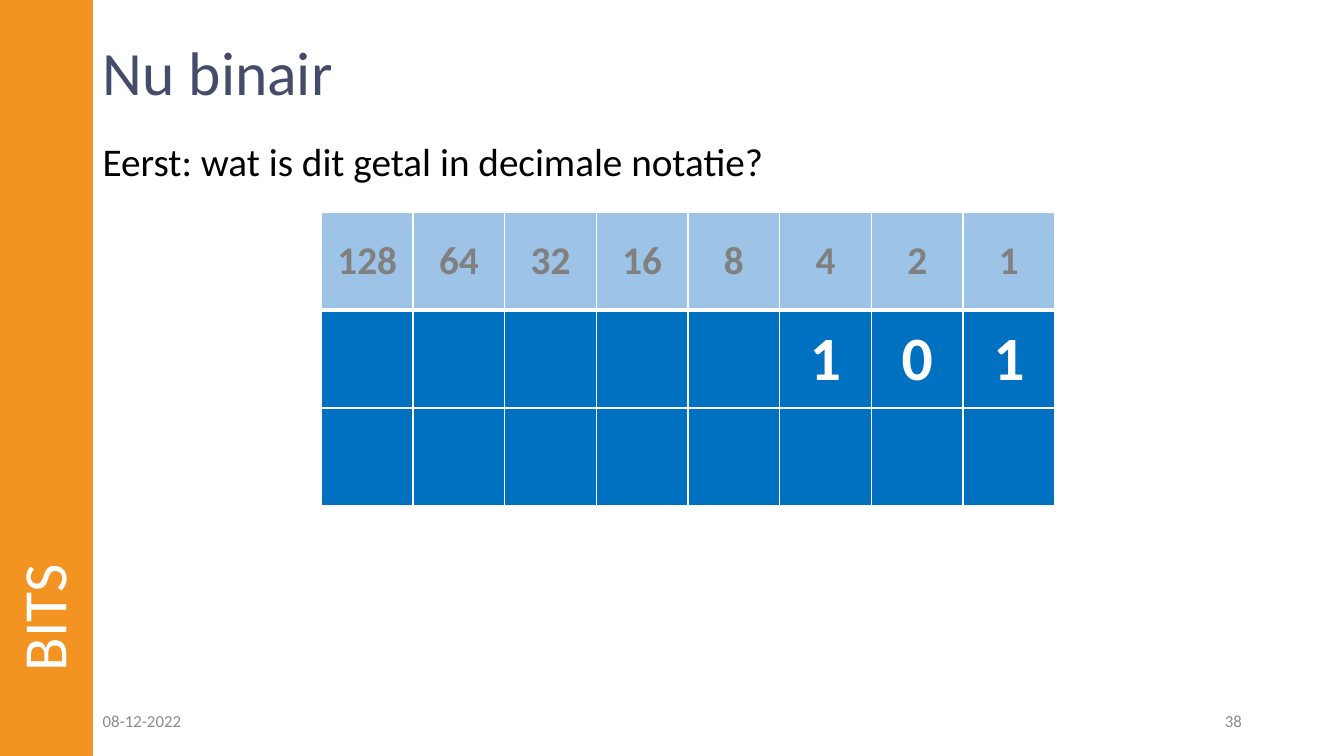
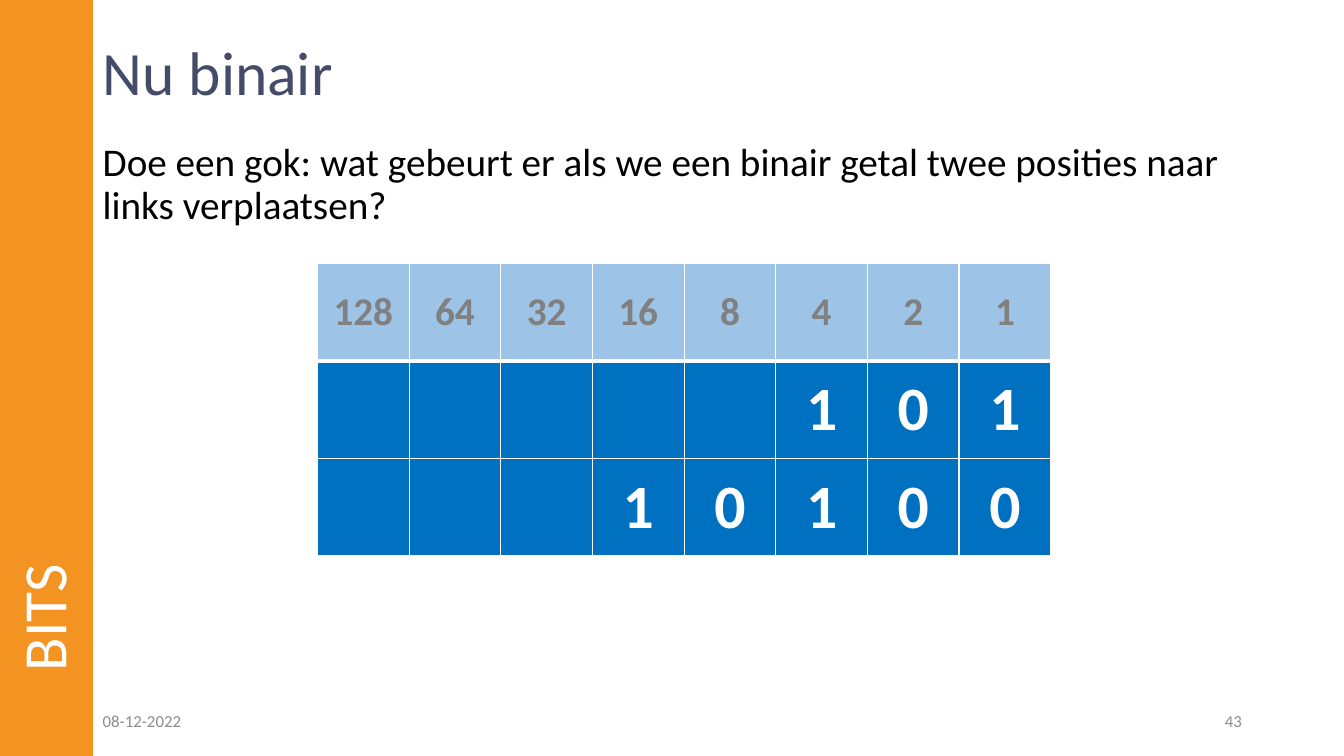
"""Builds two slides about shifting binary numbers."""
from dataclasses import dataclass

from lxml import etree
from pptx import Presentation
from pptx import util as u
from pptx.dml.color import RGBColor
from pptx.enum import shapes, text
from pptx.oxml import ns


@dataclass(frozen=True)
class Theme:
    """Colours, font and type sizes."""
    font: str = "Calibri"
    band: str = "F39322"
    title: str = "454C69"
    body: str = "000000"
    footer: str = "8C8C8C"
    white: str = "FFFFFF"
    weight_fill: str = "9DC3E6"
    weight_text: str = "808080"
    bit_fill: str = "0070C0"
    large: int = 44
    medium: int = 28
    small: int = 12


class Deck:
    """Holds the style and the current slide."""
    EDGE, WIDTH, HEIGHT = 2.34, 33.87, 19.05
    COLUMN, ROW, BITS = 2.31, 2.46, 8

    def __init__(self, theme):
        """Starts an empty wide presentation."""
        self.theme = theme
        self.deck = Presentation()
        self.deck.slide_width = u.Cm(self.WIDTH)
        self.deck.slide_height = u.Cm(self.HEIGHT)
        self.slide = None

    def add_words(self, paragraph, words, size, colour, bold=False):
        """Adds one styled run to a paragraph."""
        run = paragraph.add_run()
        run.text = words
        run.font.name = self.theme.font
        run.font.size = u.Pt(size)
        run.font.bold = bold
        run.font.color.rgb = RGBColor.from_string(colour)

    def label(self, words, place, size, colour, middle=True, spacing=None,
              align=text.PP_ALIGN.LEFT):
        """Adds a wrapped text box."""
        box = self.slide.shapes.add_textbox(*map(u.Cm, place))
        frame = box.text_frame
        frame.word_wrap = True
        frame.vertical_anchor = text.MSO_ANCHOR.MIDDLE if middle else text.MSO_ANCHOR.TOP
        paragraph = frame.paragraphs[0]
        paragraph.alignment = align
        paragraph.line_spacing = spacing
        self.add_words(paragraph, words, size, colour)
        return box

    def band(self, chapter):
        """Adds the side band with the chapter name reading upwards."""
        strip = self.slide.shapes.add_shape(
            shapes.MSO_SHAPE.RECTANGLE, 0, 0, u.Cm(self.EDGE), u.Cm(self.HEIGHT))
        strip.shadow.inherit = False
        strip.fill.solid()
        strip.fill.fore_color.rgb = RGBColor.from_string(self.theme.band)
        strip.line.fill.background()
        length = 17.17
        offset = (length - self.EDGE) / 2
        name = self.label(chapter, (-offset, offset, length, self.EDGE),
                          self.theme.large, self.theme.white, spacing=0.9)
        name.rotation = 270

    def footer(self, date, number):
        """Adds the date and the slide number."""
        style = self.theme.small, self.theme.footer
        self.label(date, (self.EDGE, 17.65, 7.62, 1.02), *style)
        self.label(number, (23.93, 17.65, 7.62, 1.02), *style,
                   align=text.PP_ALIGN.RIGHT)

    def page(self, title, question, number):
        """Starts a slide with everything the slides share."""
        self.slide = self.deck.slides.add_slide(self.deck.slide_layouts[6])
        self.band("BITS")
        self.label(title, (self.EDGE, 0.81, 29.21, 2.18),
                   self.theme.large, self.theme.title, spacing=0.9)
        self.label(question, (self.EDGE, 3.48, 29.21, 13.69),
                   self.theme.medium, self.theme.body, middle=False, spacing=0.9)
        self.footer("08-12-2022", number)

    def border(self, cell, side, points):
        """Draws one white cell border."""
        line = etree.SubElement(cell._tc.get_or_add_tcPr(), ns.qn(f"a:ln{side}"),
                                w=str(u.Pt(points)))
        fill = etree.SubElement(line, ns.qn("a:solidFill"))
        etree.SubElement(fill, ns.qn("a:srgbClr"), val=self.theme.white)

    def cell(self, cell, words, row):
        """Styles and fills one table cell."""
        theme = self.theme
        heading = row == 0
        for side in "LRTB":
            thick = (row, side) in ((0, "B"), (1, "T"))
            self.border(cell, side, 3 if thick else 1)
        cell.fill.solid()
        cell.fill.fore_color.rgb = RGBColor.from_string(
            theme.weight_fill if heading else theme.bit_fill)
        cell.vertical_anchor = text.MSO_ANCHOR.MIDDLE
        if words:
            paragraph = cell.text_frame.paragraphs[0]
            paragraph.alignment = text.PP_ALIGN.CENTER
            size, colour = ((theme.medium, theme.weight_text) if heading
                            else (theme.large, theme.white))
            self.add_words(paragraph, words, size, colour, bold=True)

    def bit_table(self, left, top, *numbers):
        """Adds place values above right-aligned binary numbers."""
        weights = [str(2 ** power) for power in reversed(range(self.BITS))]
        rows = [weights] + [[""] * (self.BITS - len(bits)) + list(bits)
                            for bits in numbers]
        grid = self.slide.shapes.add_table(
            len(rows), self.BITS, u.Cm(left), u.Cm(top),
            u.Cm(self.COLUMN * self.BITS), u.Cm(self.ROW * len(rows))).table
        grid.horz_banding = False
        for column in grid.columns:
            column.width = u.Cm(self.COLUMN)
        for row, values in enumerate(rows):
            grid.rows[row].height = u.Cm(self.ROW)
            for column, words in enumerate(values):
                self.cell(grid.cell(row, column), words, row)


def main():
    """Builds and saves both slides."""
    lesson = Deck(Theme())
    title = "Nu binair"
    start = "101"

    lesson.page(title, "Eerst: wat is dit getal in decimale notatie?", "38")
    lesson.bit_table(8.1, 5.36, start, "")

    lesson.page(title, "Doe een gok: wat gebeurt er als we een binair getal "
                "twee posities naar links verplaatsen?", "43")
    lesson.bit_table(8, 6.63, start, start + "00")

    lesson.deck.save("out.pptx")


if __name__ == "__main__":
    main()
